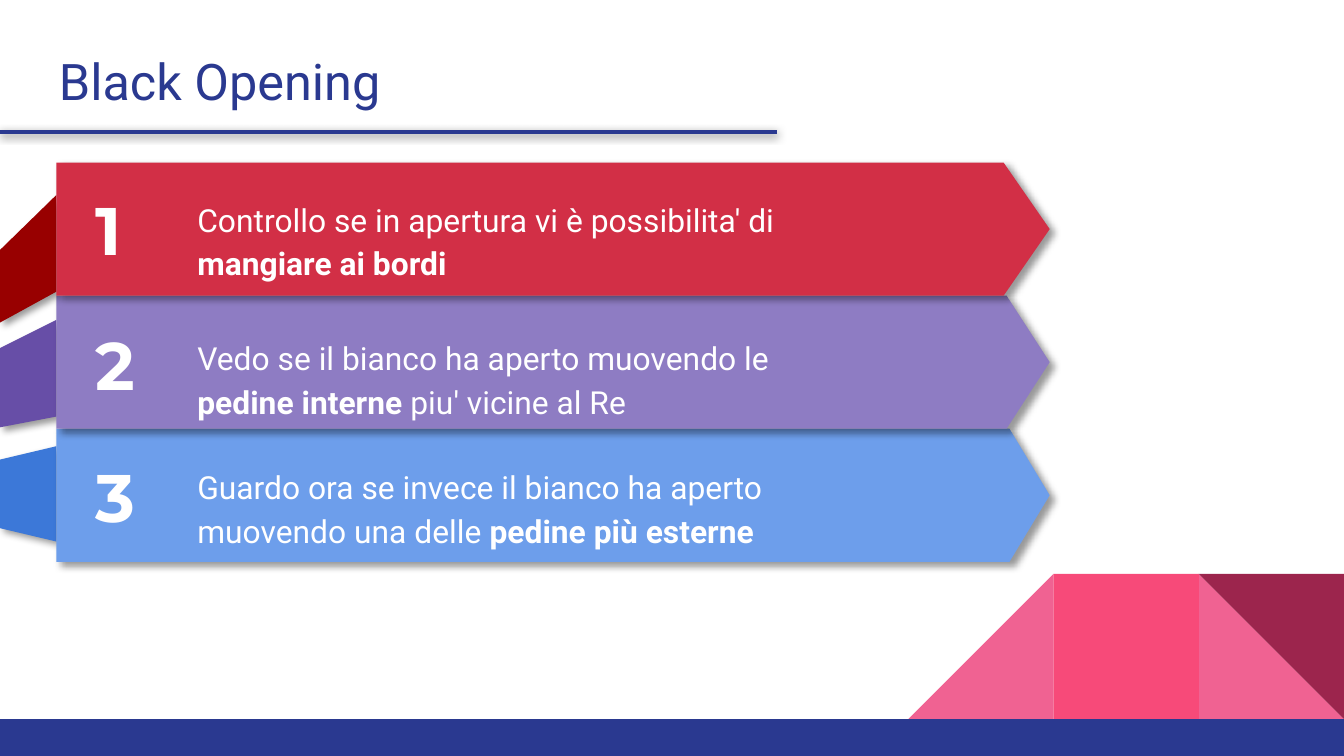
"""Build the Black Opening slide with three stacked ribbon steps."""
from dataclasses import dataclass

from lxml.etree import SubElement
from pptx import Presentation
from pptx.dml.color import RGBColor
from pptx.enum.shapes import MSO_CONNECTOR as LINE, MSO_SHAPE as SHAPE
from pptx.oxml.ns import qn
from pptx.util import Inches, Pt


@dataclass(frozen=True)
class Theme:
    navy: str = "2A3990"
    white: str = "FFFFFF"
    pink: str = "F06292"
    rose: str = "F74A79"
    wine: str = "9C254D"
    body_font: str = "Roboto"
    number_font: str = "Montserrat"
    title_size: int = 27
    number_size: int = 36
    body_size: int = 17


THEME = Theme()
TITLE = "Black Opening"
STEPS = [
    dict(color="D22F46", fold_color="980000", notch=0.346,
         fold=[(0.42, 1.45), (0, 1.86), (0, 2.4), (0.42, 2.17)],
         number_box=(1.35, 0.6), text_box=(1.4, 4.94),
         text=[("Controllo se in apertura vi è possibilita' di ", False),
               ("mangiare ai bordi", True)]),
    dict(color="8E7CC3", fold_color="674EA7", notch=0.324,
         fold=[(0.42, 2.38), (0, 2.59), (0, 3.18), (0.42, 3.1)],
         number_box=(2.36, 0.73), text_box=(2.43, 4.99),
         text=[("Vedo se il bianco ha aperto muovendo le ", False),
               ("pedine interne", True), (" piu' vicine al Re", False)]),
    dict(color="6D9EEB", fold_color="3C78D8", notch=0.302,
         fold=[(0.42, 3.32), (0, 3.42), (0, 3.93), (0.42, 4.03)],
         number_box=(3.34, 0.73), text_box=(3.39, 4.94),
         text=[("Guardo ora se invece il bianco ha aperto muovendo una delle ", False),
               ("pedine più esterne", True)]),
]
RIBBON_LEFT, RIBBON_TOP, RIBBON_WIDTH, RIBBON_HEIGHT = 0.42, 1.21, 7.39, 0.99
TILE, TILE_LEFT, FOOTER_TOP = 1.08, 6.76, 5.35
TILES = [
    (2, SHAPE.RIGHT_TRIANGLE, THEME.pink, False, 0),
    (0, SHAPE.RIGHT_TRIANGLE, THEME.pink, True, 0),
    (1, SHAPE.RECTANGLE, THEME.rose, False, 0),
    (2, SHAPE.RIGHT_TRIANGLE, THEME.wine, False, 180),
]


def rgb(color):
    return RGBColor.from_string(color)


def paint(shape, color):
    shape.shadow.inherit = False
    shape.fill.solid()
    shape.fill.fore_color.rgb = rgb(color)
    shape.line.fill.background()
    return shape


def cast_shadow(shape, alpha=40, blur=4, distance=3, angle=45):
    properties = shape._element.spPr
    effects = properties.find(qn("a:effectLst"))
    if effects is None:
        effects = SubElement(properties, qn("a:effectLst"))
    shadow = SubElement(effects, qn("a:outerShdw"), blurRad=str(Pt(blur)),
                        dist=str(Pt(distance)), dir=str(angle * 60000),
                        algn="bl", rotWithShape="0")
    tint = SubElement(shadow, qn("a:srgbClr"), val="000000")
    SubElement(tint, qn("a:alpha"), val=str(alpha * 1000))


def add_block(slide, preset, box, color):
    return paint(slide.shapes.add_shape(preset, *map(Inches, box)), color)


def add_text(slide, box, runs, size, font, color, bold=None, spacing=None, inset=0.05):
    frame = slide.shapes.add_textbox(*map(Inches, box)).text_frame
    frame.word_wrap = True
    frame.margin_top = frame.margin_bottom = Inches(inset)
    paragraph = frame.paragraphs[0]
    paragraph.line_spacing = spacing
    paragraph.font.size, paragraph.font.name = Pt(size), font
    paragraph.font.bold = bold
    paragraph.font.color.rgb = rgb(color)
    for text, strong in runs:
        run = paragraph.add_run()
        run.text = text
        if strong:
            run.font.bold = True


def add_scenery(slide):
    for column, preset, color, mirrored, rotation in TILES:
        box = (TILE_LEFT + column * TILE, FOOTER_TOP - TILE, TILE, TILE)
        tile = add_block(slide, preset, box, color)
        tile.rotation = rotation
        if mirrored:
            tile._element.spPr.xfrm.set("flipH", "1")
    add_block(slide, SHAPE.RECTANGLE, (0, FOOTER_TOP, 10, 0.28), THEME.navy)


def add_ribbon(slide, index, step):
    start, *corners = [(Inches(x), Inches(y)) for x, y in step["fold"]]
    outline = slide.shapes.build_freeform(*start)
    outline.add_line_segments(corners, close=True)
    cast_shadow(paint(outline.convert_to_shape(), step["fold_color"]))
    box = (RIBBON_LEFT, RIBBON_TOP + index * RIBBON_HEIGHT, RIBBON_WIDTH, RIBBON_HEIGHT)
    ribbon = add_block(slide, SHAPE.PENTAGON, box, step["color"])
    ribbon.adjustments[0] = step["notch"]
    cast_shadow(ribbon)


def add_labels(slide, index, step):
    top, width = step["number_box"]
    add_text(slide, (0.61, top, width, 0.71), [(str(index + 1), False)],
             THEME.number_size, THEME.number_font, THEME.white, bold=True)
    top, width = step["text_box"]
    add_text(slide, (1.37, top, width, 0.58), step["text"],
             THEME.body_size, THEME.body_font, THEME.white, spacing=1.15)


def main():
    deck = Presentation()
    deck.slide_width = Inches(10)
    deck.slide_height = deck.slide_width * 9 // 16
    slide = deck.slides.add_slide(deck.slide_layouts[6])
    add_scenery(slide)
    add_text(slide, (0.34, 0.27, 9.32, 0.66), [(TITLE, False)],
             THEME.title_size, THEME.body_font, THEME.navy, inset=0.1)
    for index, step in reversed(list(enumerate(STEPS))):
        add_ribbon(slide, index, step)
    for index, step in enumerate(STEPS):
        add_labels(slide, index, step)
    rule = slide.shapes.add_connector(LINE.STRAIGHT, 0, Inches(0.98),
                                      Inches(5.78), Inches(0.98))
    rule.line.color.rgb = rgb(THEME.navy)
    rule.line.width = Pt(2.25)
    cast_shadow(rule, alpha=50, blur=4.5, distance=1.5, angle=90)
    deck.save("out.pptx")


if __name__ == "__main__":
    main()
